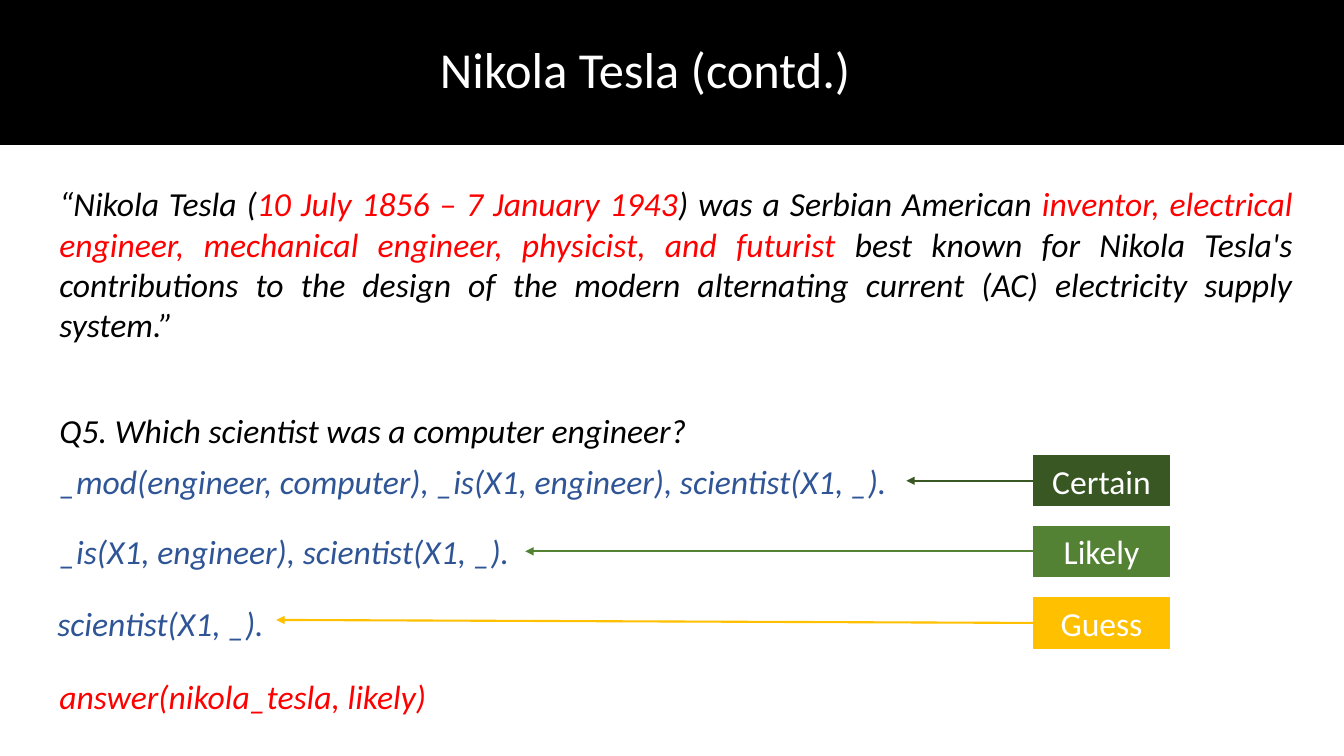
from lxml.etree import SubElement as Sub
from pptx import Presentation
from pptx.dml.color import RGBColor
from pptx.enum.shapes import MSO_CONNECTOR as Link, MSO_SHAPE as Shape
from pptx.enum.text import MSO_ANCHOR as Anchor, MSO_AUTO_SIZE as Auto, PP_ALIGN as Align
from pptx.oxml.ns import qn
from pptx.util import Inches, Pt

BLACK, WHITE, RED, BLUE = "000000", "FFFFFF", "FF0000", "2F5597"
LEFT, HIGH = 0.49, 0.5
QUOTE = [
    ("“Nikola Tesla (", BLACK),
    ("10 July 1856 – 7 January 1943", RED),
    (") was a Serbian American ", BLACK),
    ("inventor, electrical engineer, mechanical engineer, physicist, and futurist", RED),
    (" best known for Nikola Tesla's contributions to the design of the modern "
     "alternating current (AC) electricity supply system.”", BLACK),
]
RULES = [
    ("_mod(engineer, computer), _is(X1, engineer), scientist(X1, _).",
     LEFT, 4.52, 8.5, "Certain", "385723", (8.99, 4.77)),
    ("_is(X1, engineer), scientist(X1, _).",
     LEFT, 5.22, 4.71, "Likely", "548235", (5.21, 5.47)),
    ("scientist(X1, _).",
     0.47, 5.93, 2.27, "Guess", "FFC000", (2.74, 6.15)),
]


def color(code):
    return RGBColor.from_string(code)


def style(run, code, size=24, italic=False):
    font = run.font
    font.name, font.size, font.italic = "Calibri", Pt(size), italic
    font.color.rgb = color(code)


def add_text(slide, box, parts, align=Align.LEFT, wrap=True):
    frame = slide.shapes.add_textbox(*map(Inches, box)).text_frame
    frame.word_wrap, frame.auto_size = wrap, Auto.SHAPE_TO_FIT_TEXT
    para = frame.paragraphs[0]
    para.alignment = align
    for words, code in parts:
        run = para.add_run()
        run.text = words
        style(run, code, italic=True)


def add_box(slide, box, code, width):
    shape = slide.shapes.add_shape(Shape.RECTANGLE, *map(Inches, box))
    shape.shadow.inherit = False
    shape.fill.solid()
    shape.fill.fore_color.rgb = shape.line.color.rgb = color(code)
    shape.line.width = Pt(width)
    return shape


def add_label(slide, top, words, code):
    label = add_box(slide, (10.25, top, 1.35, HIGH), code, 0.75)
    frame = label.text_frame
    frame.text, frame.vertical_anchor = words, Anchor.MIDDLE
    frame.paragraphs[0].alignment = Align.CENTER
    style(frame.paragraphs[0].runs[0], WHITE)
    return label


def add_arrow(slide, label, end, code):
    x, y = map(Inches, end)
    arrow = slide.shapes.add_connector(Link.STRAIGHT, label.left, y, x, y)
    arrow.begin_connect(label, 1)
    arrow.line.color.rgb, arrow.line.width = color(code), Pt(1.5)
    Sub(arrow.line._get_or_add_ln(), qn("a:tailEnd"), type="triangle")
    Sub(arrow._element.spPr, qn("a:effectLst"))


def set_title(slide, words):
    title = slide.shapes.title
    title.left, title.top, title.width, title.height = map(Inches, (2.55, 0.33, 7.7, 0.71))
    frame = title.text_frame
    frame.text, frame.vertical_anchor = words, Anchor.TOP
    frame.word_wrap, frame.auto_size = True, Auto.SHAPE_TO_FIT_TEXT
    frame.paragraphs[0].alignment = Align.CENTER
    style(frame.paragraphs[0].runs[0], WHITE, 36)
    band = add_box(slide, (0, 0, 13.33, 1.43), BLACK, 1)
    title.element.addprevious(band.element)


def main():
    """Build the slide and save it."""
    deck = Presentation()
    deck.slide_width, deck.slide_height = Inches(13.33), Inches(7.5)
    slide = deck.slides.add_slide(deck.slide_layouts[5])
    set_title(slide, "Nikola Tesla (contd.)")
    add_text(slide, (LEFT, 1.77, 12.43, 1.72), QUOTE, Align.JUSTIFY)
    ask = "Q5. Which scientist was a computer engineer?"
    add_text(slide, (LEFT, 4.02, 6.51, HIGH), [(ask, BLACK)], Align.JUSTIFY)
    for rule, left, top, width, words, code, end in RULES:
        add_text(slide, (left, top, width, HIGH), [(rule, BLUE)], wrap=False)
        label = add_label(slide, top, words, code)
        add_arrow(slide, label, end, code)
    reply = "answer(nikola_tesla, likely)"
    add_text(slide, (LEFT, 6.66, 3.88, HIGH), [(reply, RED)], wrap=False)
    deck.save("out.pptx")


if __name__ == "__main__":
    main()
